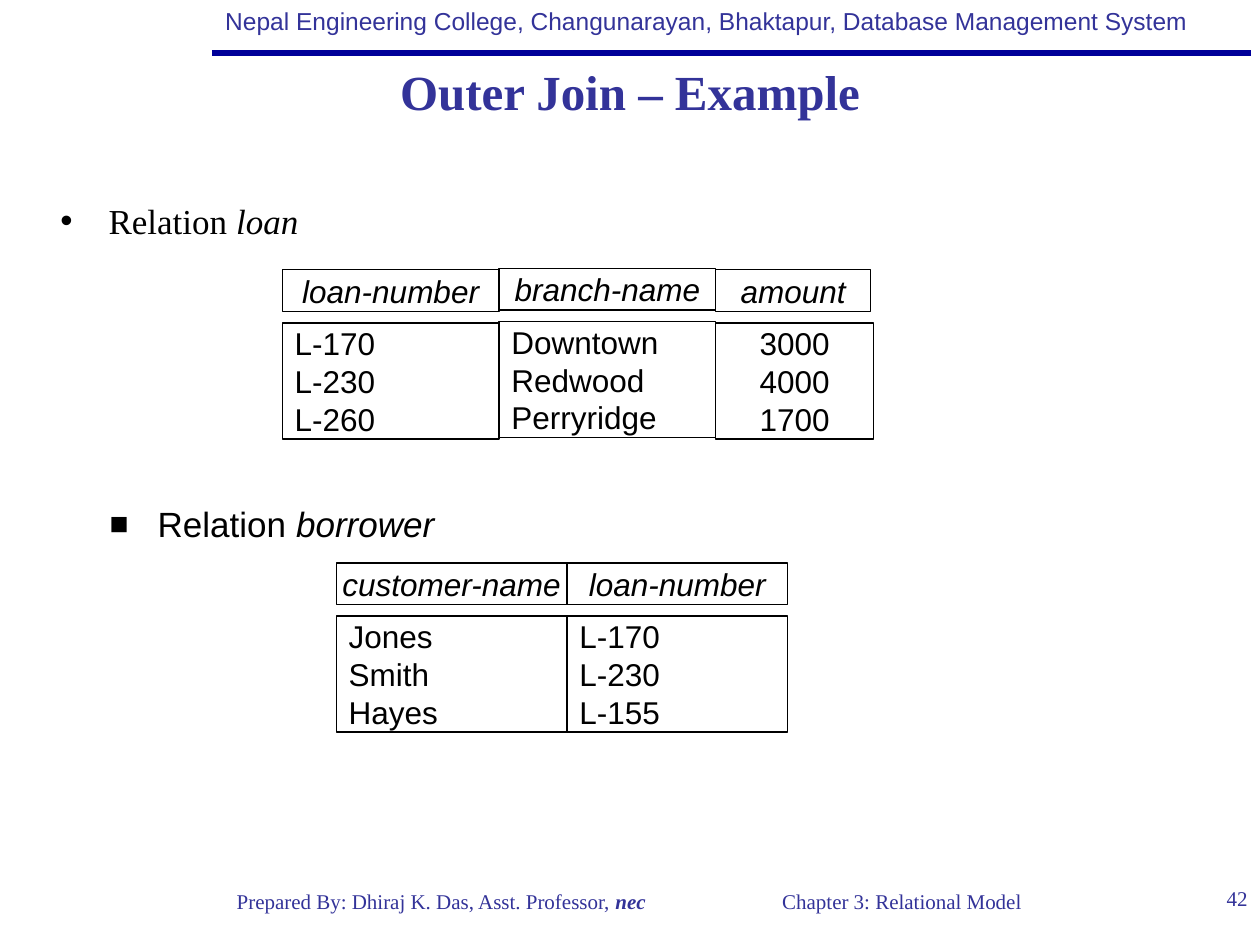
"""Build the outer join example slide with its loan and borrower relations."""
from dataclasses import dataclass

from lxml import etree
from pptx import Presentation
from pptx import util as u
from pptx.dml.color import RGBColor
from pptx.enum import shapes, text
from pptx.oxml import ns

INDIGO = RGBColor(0x33, 0x33, 0x99)
NAVY = RGBColor(0x00, 0x00, 0x99)
BLACK = RGBColor(0x00, 0x00, 0x00)
WHITE = RGBColor(0xFF, 0xFF, 0xFF)
SANS, SERIF = "Arial", "Times New Roman"
LEFT, CENTER, RIGHT = text.PP_ALIGN.LEFT, text.PP_ALIGN.CENTER, text.PP_ALIGN.RIGHT
TOP, MIDDLE = text.MSO_ANCHOR.TOP, text.MSO_ANCHOR.MIDDLE
HEAD_HEIGHT, BODY_OFFSET, BODY_HEIGHT = 0.84, 1.07, 2.34


@dataclass(frozen=True)
class Span:
    text: str
    bold: bool = False
    italic: bool = False


@dataclass(frozen=True)
class Area:
    left: float
    top: float
    width: float
    height: float

    def lengths(self) -> tuple:
        return tuple(u.Cm(v) for v in (self.left, self.top, self.width, self.height))


@dataclass(frozen=True)
class Column:
    name: str
    values: tuple[str, ...]
    left: float
    top: float
    head_width: float
    body_width: float
    align: text.PP_ALIGN = LEFT


LOAN = (
    Column("loan-number", ("L-170", "L-230", "L-260"), 5.69, 5.44, 4.37, 4.37),
    Column("amount", ("3000", "4000", "1700"), 14.43, 5.44, 3.12, 3.18, CENTER),
    Column("branch-name", ("Downtown", "Redwood", "Perryridge"), 10.06, 5.41, 4.37, 4.37),
)
BORROWER = (
    Column("customer-name", ("Jones", "Smith", "Hayes"), 6.78, 11.35, 4.65, 4.65),
    Column("loan-number", ("L-170", "L-230", "L-155"), 11.43, 11.35, 4.45, 4.45),
)


def add_bullet(para, char: str, percent: int) -> None:
    properties = para._p.get_or_add_pPr()
    properties.set("marL", str(u.Cm(0.97)))
    properties.set("indent", str(-u.Cm(0.97)))
    color = etree.SubElement(properties, ns.qn("a:buClr"))
    etree.SubElement(color, ns.qn("a:srgbClr"), val=str(BLACK))
    etree.SubElement(properties, ns.qn("a:buSzPct"), val=str(percent * 1000))
    etree.SubElement(properties, ns.qn("a:buFont"), typeface=SANS)
    etree.SubElement(properties, ns.qn("a:buChar"), char=char)


def write(box, *lines: tuple[Span, ...], size: float, font: str = SANS,
          color: RGBColor = BLACK, align=LEFT, anchor=TOP, wrap: bool = True,
          bullet: str = "", bullet_percent: int = 100) -> None:
    frame = box.text_frame
    frame.word_wrap = wrap
    frame.vertical_anchor = anchor
    for index, spans in enumerate(lines):
        para = frame.add_paragraph() if index else frame.paragraphs[0]
        para.alignment = align
        if bullet:
            add_bullet(para, bullet, bullet_percent)
        for span in spans:
            run = para.add_run()
            run.text = span.text
            run.font.name, run.font.size = font, u.Pt(size)
            run.font.bold, run.font.italic = span.bold, span.italic
            run.font.color.rgb = color


def add_label(page, area: Area, *spans: Span, **style) -> None:
    write(page.shapes.add_textbox(*area.lengths()), spans, **style)


def add_cell(page, area: Area, *lines: tuple[Span, ...], **style) -> None:
    box = page.shapes.add_shape(shapes.MSO_SHAPE.RECTANGLE, *area.lengths())
    box.shadow.inherit = False
    box.fill.solid()
    box.fill.fore_color.rgb = WHITE
    box.line.color.rgb = BLACK
    box.line.width = u.Pt(0.75)
    write(box, *lines, size=18, anchor=MIDDLE, **style)


def add_column(page, column: Column) -> None:
    head = Area(column.left, column.top, column.head_width, HEAD_HEIGHT)
    body = Area(column.left, column.top + BODY_OFFSET, column.body_width, BODY_HEIGHT)
    add_cell(page, head, (Span(column.name, italic=True),), align=CENTER, wrap=False)
    add_cell(page, body, *((Span(value),) for value in column.values), align=column.align)


def add_rule(page) -> None:
    rule = page.shapes.add_connector(shapes.MSO_CONNECTOR.STRAIGHT,
                                     u.Cm(4.27), u.Cm(1.07), u.Cm(25.22), u.Cm(1.07))
    rule.line.color.rgb = NAVY
    rule.line.width = u.Pt(3)
    etree.SubElement(rule._element.spPr, ns.qn("a:effectLst"))


def main() -> None:
    deck = Presentation()
    deck.slide_width, deck.slide_height = u.Cm(25.4), u.Cm(19.05)
    page = deck.slides.add_slide(deck.slide_layouts[6])

    add_rule(page)
    add_label(page, Area(4.29, 0, 19.94, 0.86),
              Span("Nepal Engineering College, Changunarayan, Bhaktapur, "
                   "Database Management System"),
              size=14, color=INDIGO, wrap=False)
    footer = {"size": 12, "font": SERIF, "color": INDIGO}
    add_label(page, Area(3.61, 17.78, 10.57, 1.27),
              Span("Prepared By: Dhiraj K. Das, Asst. Professor, "),
              Span("nec", bold=True, italic=True), align=CENTER, wrap=False, **footer)
    add_label(page, Area(12.9, 17.78, 10.57, 1.27),
              Span("Chapter 3: Relational Model"), align=CENTER, wrap=False, **footer)
    add_label(page, Area(23.93, 17.73, 1.47, 1.27), Span("42"), align=RIGHT, **footer)
    add_label(page, Area(0, 1.09, 25.4, 1.47), Span("Outer Join – Example", bold=True),
              size=28, font=SERIF, color=INDIGO, align=CENTER, anchor=MIDDLE)

    add_label(page, Area(0.97, 3.89, 22.17, 1.24), Span("Relation "),
              Span("loan", italic=True), size=20, font=SERIF, bullet="•")
    add_label(page, Area(1.96, 10.01, 19.53, 1.35), Span("Relation "),
              Span("borrower", italic=True), size=20, bullet="■", bullet_percent=90)
    for column in BORROWER + LOAN:
        add_column(page, column)

    deck.save("out.pptx")


if __name__ == "__main__":
    main()
